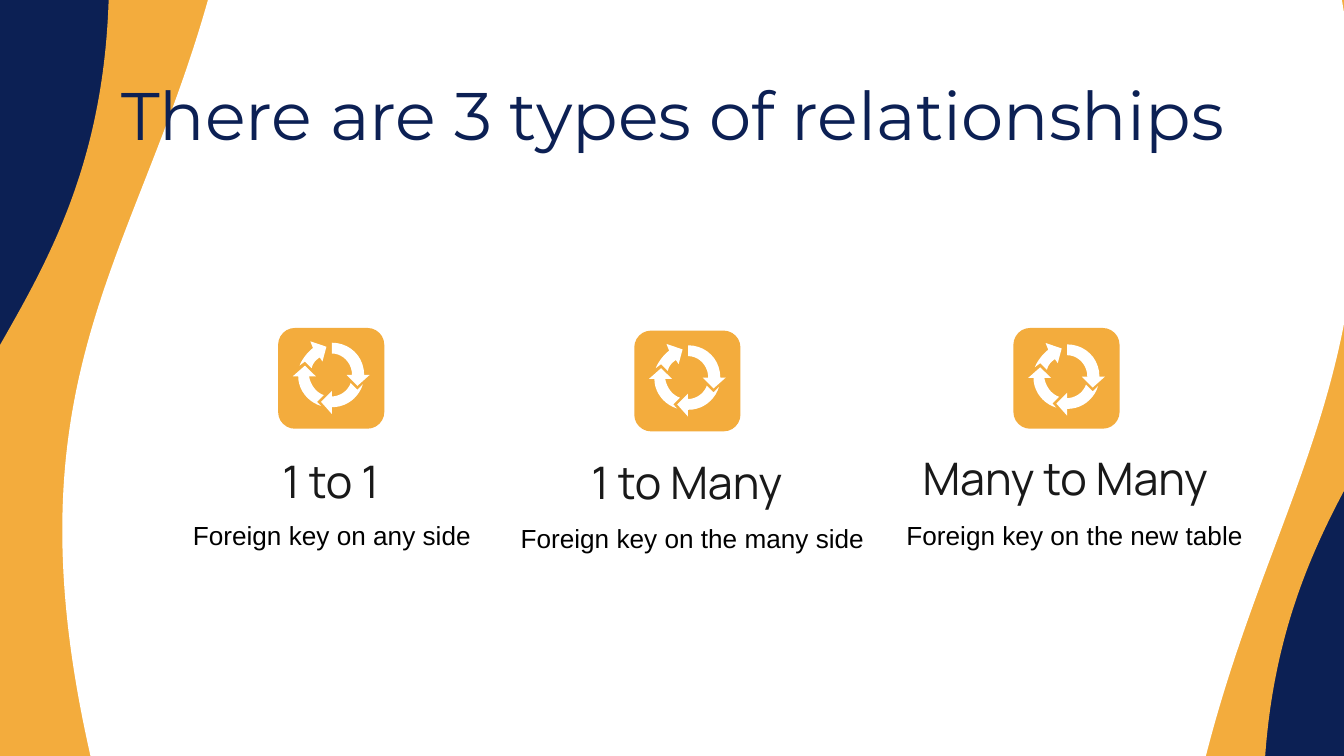
from dataclasses import dataclass
from typing import NamedTuple

from pptx import Presentation
from pptx.dml.color import RGBColor as RGB
from pptx.enum.shapes import MSO_SHAPE as SHAPE
from pptx.enum.text import MSO_ANCHOR as ANCHOR, MSO_AUTO_SIZE as AUTO, PP_ALIGN as ALIGN
from pptx.util import Pt


class TextStyle(NamedTuple):
    font: str
    size: float
    color: RGB


@dataclass(frozen=True)
class Theme:
    navy: RGB = RGB(0x0C, 0x20, 0x54)
    orange: RGB = RGB(0xF3, 0xAC, 0x3D)
    white: RGB = RGB(0xFF, 0xFF, 0xFF)
    title: TextStyle = TextStyle("Montserrat", 36, navy)
    heading: TextStyle = TextStyle("Manrope", 24, RGB(0x19, 0x19, 0x19))
    caption: TextStyle = TextStyle("Arial", 14, RGB(0, 0, 0))


class Box(NamedTuple):
    x: float
    y: float
    w: float
    h: float

    def lengths(self) -> tuple:
        return tuple(Pt(v) for v in self)


class Band(NamedTuple):
    box: Box
    rotation: int
    color: RGB


class Card(NamedTuple):
    heading: str
    caption: str
    tile: Box
    heading_box: Box
    caption_box: Box
    icon_drop: float = 0


THEME = Theme()
INSET = 7.2
TILE_SIZE = (56.9, 54)
CAPTION_SIZE = (203.8, 24.5)
HEADING_H = 38.2
CURVE_STEPS = 10

BANDS = [
    Band(Box(2.2, -67.7, 448.6, 556.6), 90, THEME.orange),
    Band(Box(283.7, -68.4, 450, 556.6), 270, THEME.orange),
    Band(Box(104.4, -27.4, 696.2, 564.5), 270, THEME.white),
    Band(Box(-23, -145.4, 655.2, 556.6), 90, THEME.white),
]

CARDS = [
    Card("1 to 1", "Foreign key on any side", Box(149, 175.7, *TILE_SIZE),
         Box(86.4, 238.3, 181.4, HEADING_H), Box(92.2, 275, *CAPTION_SIZE)),
    Card("1 to Many", "Foreign key on the many side", Box(339.8, 177.1, *TILE_SIZE),
         Box(277.2, 239, 181.4, HEADING_H), Box(267.8, 276.5, *CAPTION_SIZE)),
    Card("Many to Many", "Foreign key on the new table", Box(542.9, 175.7, *TILE_SIZE),
         Box(466.6, 236.9, 208.1, HEADING_H), Box(474.5, 275, *CAPTION_SIZE), 0.9),
]

# Cycle arrows relative to the tile: a pair is a corner, six numbers are a cubic curve
ARROWS = [
    [(17.3, 7.2), (18.7, 10.8), (15.8, 13, 13, 16.6, 11.5, 20.2), (14.4, 18), (18, 21.6),
     (18.7, 18.7, 20.2, 17.3, 22.3, 15.8), (23.8, 18), (25.9, 10.1)],
    [(14.4, 20.2), (7.9, 25.9), (10.8, 25.9), (10.8, 33.1, 15.8, 39.6, 23, 41.8),
     (20.9, 39.6), (24.5, 36), (20.2, 34.6, 17.3, 30.2, 16.6, 25.9), (20.2, 25.9)],
    [(38.9, 29.5), (37.4, 33.8, 33.1, 36.7, 28.8, 36.7), (28.8, 33.8), (23, 39.6),
     (28.8, 46.1), (28.8, 42.5), (36.7, 42.5, 43.2, 37.4, 45.4, 30.2), (42.5, 33.1)],
    [(28.8, 7.9), (28.8, 13.7), (34.6, 13.7, 39.6, 18.7, 39.6, 25.2), (36.7, 25.2),
     (42.5, 31), (49, 25.2), (46.1, 25.2), (46.1, 15.1, 38.2, 7.9, 28.8, 7.9)],
]


def paint(sp, color: RGB) -> None:
    sp.shadow.inherit = False
    sp.fill.solid()
    sp.fill.fore_color.rgb = color
    sp.line.fill.background()


def write(sp, text: str, style: TextStyle, align: ALIGN, anchor: ANCHOR) -> None:
    tf = sp.text_frame
    tf.word_wrap = True
    tf.auto_size = AUTO.NONE
    tf.vertical_anchor = anchor
    tf.margin_left = tf.margin_right = Pt(INSET)
    tf.margin_top = tf.margin_bottom = Pt(INSET if anchor == ANCHOR.MIDDLE else INSET / 2)
    p = tf.paragraphs[0]
    p.text = text
    p.alignment = align
    p.font.name, p.font.size, p.font.color.rgb = style.font, Pt(style.size), style.color


def flatten(path: list) -> list:
    """Turn corners and cubic curves into a list of points."""
    points = []
    for step in path:
        if len(step) == 2:
            points.append(step)
            continue
        ends = [points[-1], step[:2], step[2:4], step[4:]]
        for i in range(1, CURVE_STEPS + 1):
            t = i / CURVE_STEPS
            weights = ((1 - t) ** 3, 3 * t * (1 - t) ** 2, 3 * t * t * (1 - t), t ** 3)
            points.append(tuple(sum(w * e[k] for w, e in zip(weights, ends)) for k in (0, 1)))
    return points


def draw_band(s, band: Band) -> None:
    sp = s.shapes.add_shape(SHAPE.FLOWCHART_DOCUMENT, *band.box.lengths())
    sp.rotation = band.rotation
    sp.element.spPr.get_or_add_xfrm().set("flipH", "1")
    paint(sp, band.color)


def draw_icon(s, tile: Box, drop: float) -> None:
    sp = s.shapes.add_shape(SHAPE.ROUNDED_RECTANGLE, *tile.lengths())
    sp.adjustments[0] = 0.167
    paint(sp, THEME.orange)
    group = s.shapes.add_group_shape()
    for arrow in ARROWS:
        points = [(Pt(tile.x + x), Pt(tile.y + drop + y)) for x, y in flatten(arrow)]
        builder = group.shapes.build_freeform(*points[0])
        builder.add_line_segments(points[1:], close=True)
        paint(builder.convert_to_shape(), THEME.white)


def draw_card(s, card: Card) -> None:
    draw_icon(s, card.tile, card.icon_drop)
    heading = s.shapes.add_textbox(*card.heading_box.lengths())
    write(heading, card.heading, THEME.heading, ALIGN.CENTER, ANCHOR.MIDDLE)
    caption = s.shapes.add_textbox(*card.caption_box.lengths())
    write(caption, card.caption, THEME.caption, ALIGN.LEFT, ANCHOR.TOP)
    caption.text_frame.margin_left = Pt(INSET + 3.9)
    caption.text_frame.auto_size = AUTO.SHAPE_TO_FIT_TEXT


def main() -> None:
    prs = Presentation()
    prs.slide_width, prs.slide_height = Pt(720), Pt(405)
    s = prs.slides.add_slide(prs.slide_layouts[5])

    # Navy background with waves
    s.background.fill.solid()
    s.background.fill.fore_color.rgb = THEME.navy
    for band in BANDS:
        draw_band(s, band)

    # Title, brought in front of the waves
    title = s.shapes.title
    s.shapes.element.append(title.element)
    title.left, title.top, title.width, title.height = Box(56.9, 41.8, 607, 38.2).lengths()
    write(title, "There are 3 types of relationships", THEME.title, ALIGN.CENTER, ANCHOR.MIDDLE)

    # Relationship types
    for card in CARDS:
        draw_card(s, card)

    prs.save("out.pptx")


if __name__ == "__main__":
    main()
